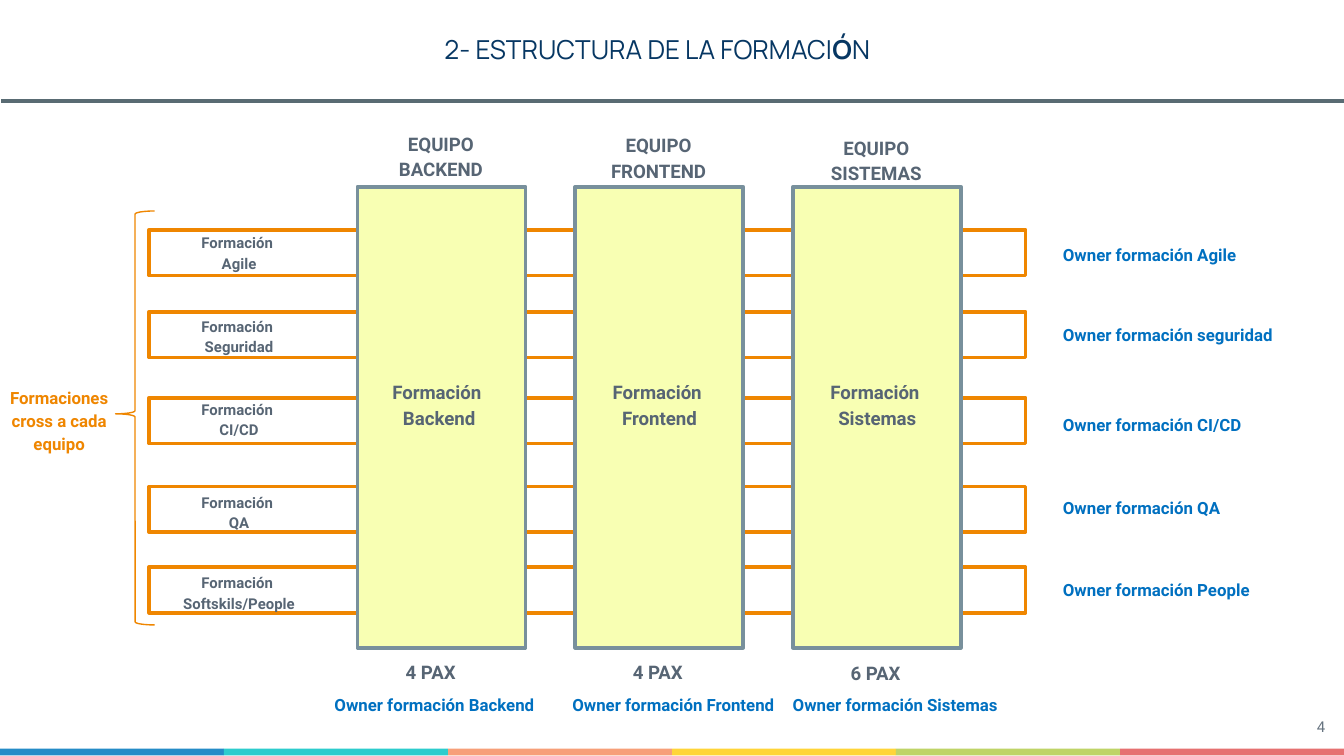
from pptx import Presentation
from pptx.dml.color import RGBColor
from pptx.enum.shapes import MSO_CONNECTOR as Connector, MSO_SHAPE as Shape
from pptx.enum.text import MSO_ANCHOR as Anchor, MSO_AUTO_SIZE as AutoSize, PP_ALIGN as Align
from pptx.oxml.ns import qn
from pptx.util import Inches, Pt
from lxml.etree import SubElement

GREY, BLUE, ORANGE, NAVY = "576574", "0070C0", "EF8600", "073763"


def color(value):
    return RGBColor.from_string(value)


class SlideBuilder:
    """Holds the text style and the current slide."""

    font = "Roboto"
    title_font = "Manrope"
    inset = Inches(0.1)
    line_spacing = 1.15
    space_after = Pt(16)

    def __init__(self, slide):
        self.slide = slide

    def prepare_frame(self, shape, anchor=Anchor.TOP):
        frame = shape.text_frame
        frame.word_wrap = True
        frame.auto_size = AutoSize.NONE
        frame.vertical_anchor = anchor
        frame.margin_left = frame.margin_right = self.inset
        frame.margin_top = frame.margin_bottom = self.inset
        return frame

    def run(self, paragraph, text, size, ink, bold, font):
        run = paragraph.add_run()
        run.text = text
        run.font.size = Pt(size)
        run.font.name = font
        run.font.bold = bold
        run.font.color.rgb = color(ink)

    def title(self, left, top, width, height, runs, size, ink):
        shape = self.slide.shapes.title
        shape.left, shape.top = Inches(left), Inches(top)
        shape.width, shape.height = Inches(width), Inches(height)
        paragraph = self.prepare_frame(shape).paragraphs[0]
        paragraph.alignment = Align.CENTER
        for text, bold in runs:
            self.run(paragraph, text, size, ink, bold, self.title_font)

    def text(self, left, top, width, height, lines, size, ink=GREY, align=Align.LEFT):
        box = self.slide.shapes.add_textbox(
            Inches(left), Inches(top), Inches(width), Inches(height))
        paragraph = self.prepare_frame(box).paragraphs[0]
        paragraph.alignment = align
        paragraph.line_spacing = self.line_spacing
        paragraph.space_after = self.space_after
        for index, line in enumerate(lines):
            if index:
                paragraph.add_line_break()
            self.run(paragraph, line, size, ink, True, self.font)

    def page_number(self, left, top, width, height, number):
        box = self.slide.shapes.add_textbox(
            Inches(left), Inches(top), Inches(width), Inches(height))
        paragraph = self.prepare_frame(box, Anchor.MIDDLE).paragraphs[0]
        paragraph.alignment = Align.RIGHT
        self.run(paragraph, number, 8, "677480", False, self.font)

    def shape(self, kind, left, top, width, height, fill=None, line=None, weight=2):
        shape = self.slide.shapes.add_shape(
            kind, Inches(left), Inches(top), Inches(width), Inches(height))
        shape.shadow.inherit = False
        if fill:
            shape.fill.solid()
            shape.fill.fore_color.rgb = color(fill)
        else:
            shape.fill.background()
        if line:
            shape.line.color.rgb = color(line)
            shape.line.width = Pt(weight)
        else:
            shape.line.fill.background()
        return shape

    def rule(self, left, right, top, ink, weight):
        line = self.slide.shapes.add_connector(
            Connector.STRAIGHT, Inches(left), Inches(top), Inches(right), Inches(top))
        line.line.color.rgb = color(ink)
        line.line.width = Pt(weight)
        SubElement(line._element.spPr, qn("a:effectLst"))


def main():
    # Widescreen 16:9 slide
    presentation = Presentation()
    presentation.slide_width = Inches(10)
    presentation.slide_height = Inches(10) * 9 // 16
    title_only = presentation.slide_layouts[5]
    builder = SlideBuilder(presentation.slides.add_slide(title_only))

    # Heading
    builder.title(3.12, 0.15, 3.54, 0.37,
                  [("2- ESTRUCTURA DE LA FORMACI", False), ("Ó", True), ("N", False)],
                  14, NAVY)
    builder.rule(0.01, 10, 0.75, "596B73", 2)

    # Footer stripe and page number
    stripes = ["258CC7", "2DCCCD", "F79F79", "FFD539", "BFD467", "E67171"]
    stripe_width = 10 / len(stripes)
    for index, fill in enumerate(stripes):
        builder.shape(Shape.RECTANGLE, index * stripe_width, 5.57, stripe_width, 0.05, fill)
    builder.page_number(9.36, 5.19, 0.6, 0.43, "4")

    # Cross trainings: topic, owner, tops of bar, label and owner
    trainings = [
        ("Agile", "Agile", 1.71, 1.62, 1.70),
        ("Seguridad", "seguridad", 2.32, 2.24, 2.29),
        ("CI/CD", "CI/CD", 2.96, 2.86, 2.96),
        ("QA", "QA", 3.62, 3.55, 3.58),
        ("Softskils/People", "People", 4.22, 4.15, 4.19),
    ]
    for topic, owner, bar_top, label_top, owner_top in trainings:
        builder.shape(Shape.RECTANGLE, 1.11, bar_top, 6.52, 0.34, "FFFFFF", ORANGE)
        builder.text(1.04, label_top, 1.45, 0.49, ["Formación", f" {topic}"], 8,
                     align=Align.CENTER)
        builder.text(7.81, owner_top, 1.91, 0.41, [f"Owner formación {owner}"], 9, BLUE)

    # Teams: name, people, header top, lefts of label, people and owner, people top
    teams = [
        ("Backend", 4, 0.86, 2.76, 2.92, 2.39, 4.79),
        ("Frontend", 4, 0.87, 4.40, 4.61, 4.16, 4.79),
        ("Sistemas", 6, 0.89, 6.02, 6.23, 5.80, 4.80),
    ]
    for index, team in enumerate(teams):
        name, people, header_top, label_left, people_left, owner_left, people_top = team
        column_left = 2.66 + index * 1.62
        builder.shape(Shape.RECTANGLE, column_left, 1.39, 1.25, 3.43, "F8FFB3", "78909C")
        builder.text(column_left + 0.13, header_top, 0.98, 0.49,
                     ["EQUIPO", name.upper()], 10, align=Align.CENTER)
        builder.text(label_left, 2.71, 0.98, 0.49, ["Formación", f" {name}"], 10,
                     align=Align.CENTER)
        builder.text(people_left, people_top, 0.59, 0.41, [f"{people} PAX"], 10)
        builder.text(owner_left, 5.05, 1.78, 0.41, [f"Owner formación {name}"], 9, BLUE)

    # Brace that groups the cross trainings
    brace = builder.shape(Shape.LEFT_BRACE, 0.86, 1.57, 0.29, 3.08, line=ORANGE, weight=0.75)
    brace.adjustments[0], brace.adjustments[1] = 0.08, 0.49
    builder.text(-0.05, 2.76, 0.98, 0.49, ["Formaciones cross a cada equipo"], 9, ORANGE,
                 Align.CENTER)

    presentation.save("out.pptx")


if __name__ == "__main__":
    main()
